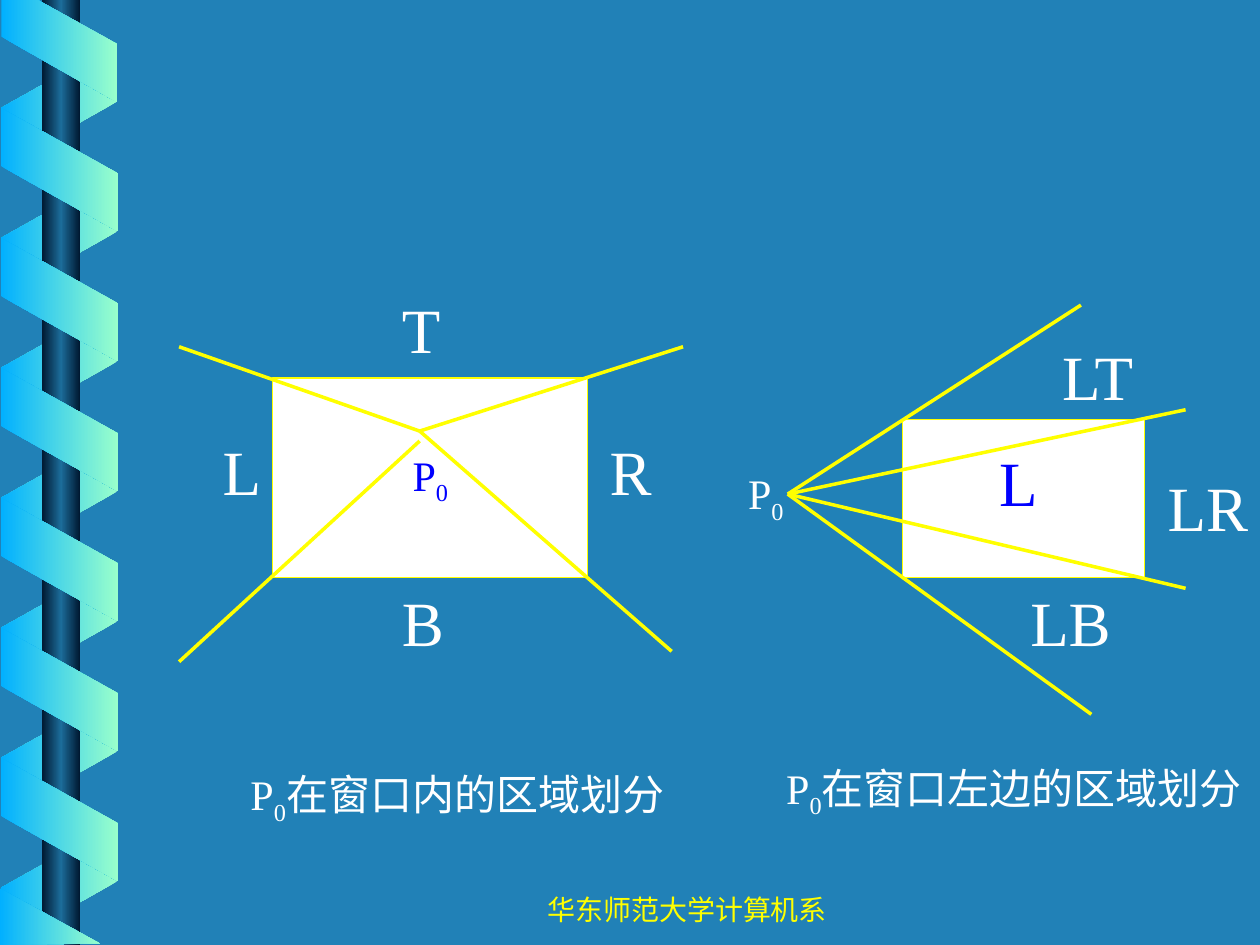
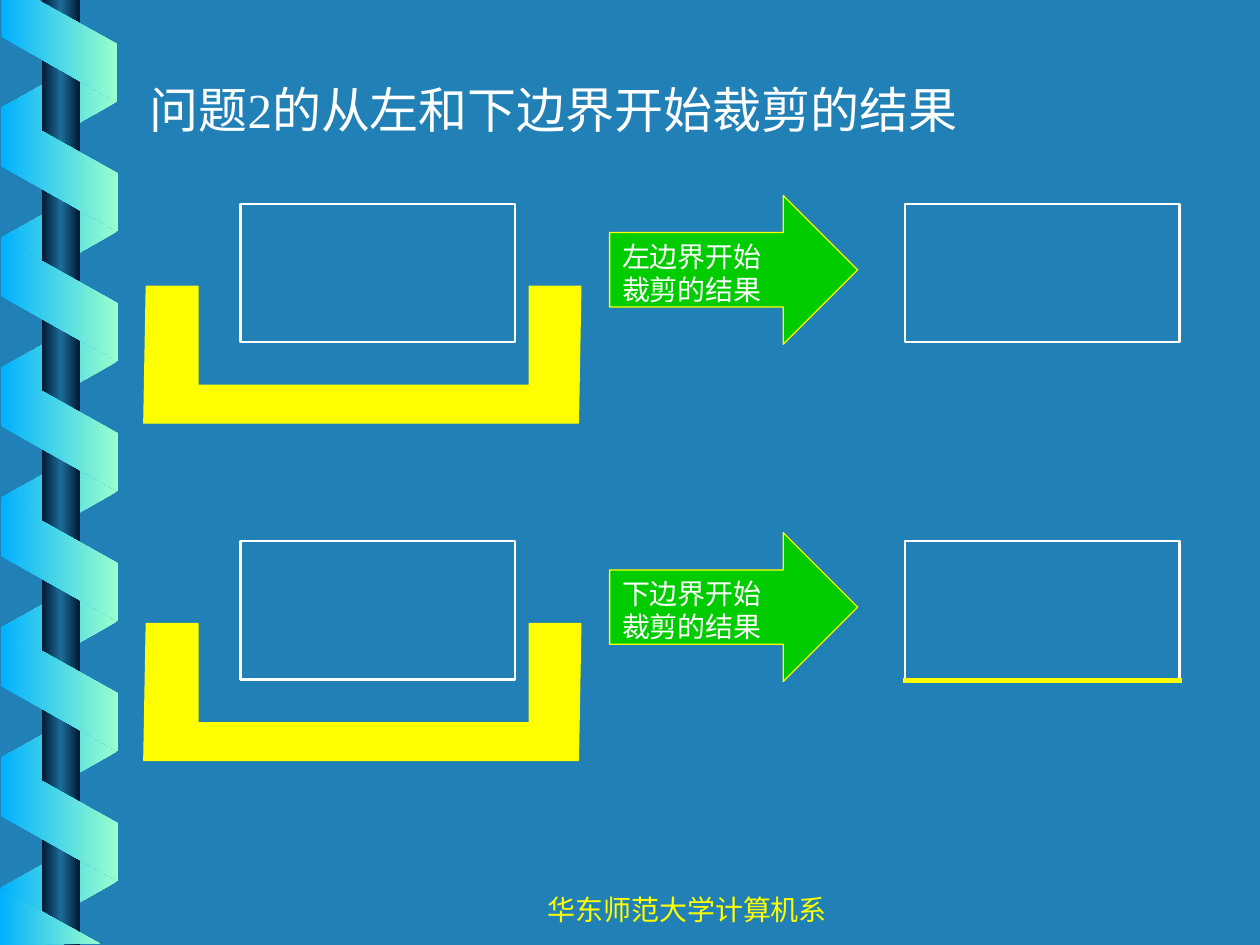
from dataclasses import dataclass

from lxml import etree
from pptx import Presentation
from pptx.dml.color import RGBColor
from pptx.enum import shapes as shp
from pptx.enum import text as txt
from pptx.oxml import ns
from pptx.util import Cm, Pt

# Shared colours and fonts
BACKGROUND = RGBColor(0x21, 0x81, 0xB7)
WHITE = RGBColor(0xFF, 0xFF, 0xFF)
YELLOW = RGBColor(0xFF, 0xFF, 0x00)
BLUE = RGBColor(0x00, 0x00, 0xFF)
GREEN = RGBColor(0x00, 0xCC, 0x00)
SKY = RGBColor(0x01, 0xB0, 0xFF)
MINT = RGBColor(0x99, 0xFF, 0xCC)
NAVY = RGBColor(0x00, 0x19, 0x32)
STEEL = RGBColor(0x1C, 0x6D, 0x9A)
LATIN, CJK = "Times New Roman", "Noto Sans CJK SC"

RIBBON_PITCH = 2.62
P0 = ("P", "_0")  # a leading underscore marks a subscript


@dataclass(frozen=True)
class Box:
    """Left, top, width and height in centimetres."""
    x: float
    y: float
    w: float
    h: float

    def emu(self) -> tuple:
        return Cm(self.x), Cm(self.y), Cm(self.w), Cm(self.h)


@dataclass(frozen=True)
class Label:
    box: Box
    pieces: tuple
    size: int = 36
    color: RGBColor = WHITE


@dataclass(frozen=True)
class Ray:
    start: tuple
    end: tuple
    width: float = 2


# Text
def write(tf, lines, size, color=WHITE, font=LATIN, align=txt.PP_ALIGN.LEFT,
          anchor=txt.MSO_ANCHOR.TOP, wrap=False,
          auto_size=txt.MSO_AUTO_SIZE.NONE) -> None:
    frame_format = {"word_wrap": wrap, "auto_size": auto_size,
                    "vertical_anchor": anchor,
                    "margin_left": Cm(0.25), "margin_right": Cm(0.25),
                    "margin_top": Cm(0.13), "margin_bottom": Cm(0.13)}
    for name, value in frame_format.items():
        setattr(tf, name, value)
    for i, pieces in enumerate(lines):
        p = tf.add_paragraph() if i else tf.paragraphs[0]
        p.alignment = align
        for piece in pieces:
            r = p.add_run()
            r.text = piece.removeprefix("_")
            for name, value in {"size": Pt(size), "name": font}.items():
                setattr(r.font, name, value)
            r.font.color.rgb = color
            rPr = r._r.get_or_add_rPr()
            etree.SubElement(rPr, ns.qn("a:ea")).set("typeface", CJK)
            if piece.startswith("_"):
                rPr.set("baseline", "-25000")


def add_label(s, label: Label) -> None:
    tb = s.shapes.add_textbox(*label.box.emu())
    write(tb.text_frame, [label.pieces], label.size, label.color,
          auto_size=txt.MSO_AUTO_SIZE.SHAPE_TO_FIT_TEXT)


# Shapes and lines
def paint(sp, fill=None, line=None, width=0.75) -> None:
    sp.shadow.inherit = False
    for target, color in ((sp.fill, fill), (sp.line.fill, line)):
        if color is None:
            target.background()
        else:
            target.solid()
            target.fore_color.rgb = color
    if line is not None:
        sp.line.width = Pt(width)


def paint_gradient(sp, *colors: RGBColor) -> None:
    """Evenly spaced horizontal gradient that stays fixed to the page."""
    paint(sp)
    sp.fill.gradient()
    grad = sp._element.spPr.find(ns.qn("a:gradFill"))
    grad.set("rotWithShape", "0")
    grad.find(ns.qn("a:lin")).set("ang", "0")
    stops = grad.find(ns.qn("a:gsLst"))
    for stop in list(stops):
        stops.remove(stop)
    for i, color in enumerate(colors):
        stop = etree.SubElement(stops, ns.qn("a:gs"))
        stop.set("pos", str(100000 * i // (len(colors) - 1)))
        etree.SubElement(stop, ns.qn("a:srgbClr")).set("val", str(color))


def add_preset(s, kind, box: Box):
    return s.shapes.add_shape(kind, *box.emu())


def add_rect(s, box: Box, fill=None, line=None, width=0.75):
    sp = add_preset(s, shp.MSO_SHAPE.RECTANGLE, box)
    paint(sp, fill, line, width)
    return sp


def add_outline(s, points):
    (x, y), *rest = [(Cm(px), Cm(py)) for px, py in points]
    fb = s.shapes.build_freeform(x, y)
    fb.add_line_segments(rest, close=True)
    return fb.convert_to_shape()


def add_ray(s, ray: Ray) -> None:
    ends = [Cm(v) for v in (*ray.start, *ray.end)]
    cn = s.shapes.add_connector(shp.MSO_CONNECTOR.STRAIGHT, *ends)
    cn.line.color.rgb = YELLOW
    cn.line.width = Pt(ray.width)
    etree.SubElement(cn._element.spPr, ns.qn("a:effectLst"))


# Shared ribbon, pole and footer
def add_ribbons(s, count, top, height, adjust, rotation, colors, flip=False) -> None:
    for i in range(count):
        box = Box(-0.05, top + i * RIBBON_PITCH, 2.49, height)
        sp = add_preset(s, shp.MSO_SHAPE.PARALLELOGRAM, box)
        sp.adjustments[0] = adjust
        sp.rotation = rotation
        if flip:
            sp._element.spPr.find(ns.qn("a:xfrm")).set("flipH", "1")
        paint_gradient(sp, *colors)


def add_frame(s) -> None:
    add_ribbons(s, 7, 0.94, 2.34, 0.56, 90, (MINT, SKY), flip=True)
    paint_gradient(add_rect(s, Box(0.85, 0, 0.76, 19.05)), NAVY, STEEL, NAVY)
    add_ribbons(s, 6, 2.24, 2.36, 0.56, 270, (SKY, MINT))
    ribbon_top = [(0.03, 0), (0.03, 0.74), (2.36, 2.06), (2.36, 0.89), (0.76, 0)]
    ribbon_end = [(2.01, 19.02), (0, 17.91), (0, 19.05)]
    for points in (ribbon_top, ribbon_end):
        paint_gradient(add_outline(s, points), SKY, MINT)
    footer = s.shapes.add_textbox(*Box(8.46, 17.86, 10.8, 0.79).emu())
    write(footer.text_frame, [["华东师范大学计算机系"]], 16, YELLOW, CJK,
          txt.PP_ALIGN.CENTER, wrap=True)


# Slide 1: regions around the clipping window
def build_regions(prs) -> None:
    s = prs.slides.add_slide(prs.slide_layouts[6])
    add_frame(s)

    inside = add_rect(s, Box(5.5, 7.62, 6.35, 4.02), WHITE, YELLOW)
    write(inside.text_frame, [P0], 24, BLUE, align=txt.PP_ALIGN.CENTER,
          anchor=txt.MSO_ANCHOR.MIDDLE)
    add_rect(s, Box(18.19, 8.46, 4.88, 3.18), WHITE, YELLOW)

    center, eye = (8.46, 8.69), (15.88, 9.96)
    rays = [Ray((3.61, 13.34), (8.46, 8.89))]
    rays += [Ray(center, end) for end in ((13.54, 13.13), (3.61, 6.99), (13.77, 6.99))]
    rays += [Ray(eye, end) for end in
             ((21.79, 6.15), (23.9, 8.26), (23.9, 11.86), (22, 14.4))]
    for ray in rays:
        add_ray(s, ray)

    labels = [
        Label(Box(7.85, 5.72, 1.27, 1.78), ("T",)),
        Label(Box(4.24, 8.59, 1.27, 1.78), ("L",)),
        Label(Box(7.85, 11.63, 1.35, 1.78), ("B",)),
        Label(Box(12.04, 8.59, 1.35, 1.78), ("R",)),
        Label(Box(21.16, 6.68, 2.06, 1.78), ("LT",)),
        Label(Box(19.89, 8.81, 1.27, 1.78), ("L",), color=BLUE),
        Label(Box(20.52, 11.63, 2.13, 1.78), ("LB",)),
        Label(Box(23.29, 9.32, 2.13, 1.78), ("LR",)),
        Label(Box(14.83, 9.3, 1.22, 1.42), P0, 24),
        Label(Box(4.8, 15.37, 9.04, 1.42), (*P0, "在窗口内的区域划分"), 24),
        Label(Box(15.6, 15.24, 9.88, 1.42), (*P0, "在窗口左边的区域划分"), 24),
    ]
    for label in labels:
        add_label(s, label)


# Slide 2: results of clipping from two borders
def add_clip_row(s, top: float, border: str) -> None:
    arrow = add_preset(s, shp.MSO_SHAPE.RIGHT_ARROW, Box(12.29, top - 0.17, 5, 3))
    paint(arrow, GREEN, YELLOW)
    write(arrow.text_frame, [[border + "开始"], ["裁剪的结果"]], 16)
    for x in (4.85, 18.24):
        add_rect(s, Box(x, top, 5.54, 2.79), line=WHITE, width=1.25)
    rim, floor, base = top + 1.66, top + 3.66, top + 4.42
    trough = [(2.95, rim), (3.99, rim), (3.99, floor), (10.67, floor),
              (10.67, rim), (11.71, rim), (11.66, base), (2.9, base)]
    paint(add_outline(s, trough), YELLOW, YELLOW)


def build_results(prs) -> None:
    s = prs.slides.add_slide(prs.slide_layouts[5])
    add_frame(s)
    title = s.shapes.title
    title.left, title.top, title.width, title.height = Box(2.77, 1.47, 17.25, 1.45).emu()
    write(title.text_frame, [["问题2的从左和下边界开始裁剪的结果"]], 28)
    for i, border in enumerate(("左边界", "下边界")):
        add_clip_row(s, 4.11 + i * 6.8, border)
    add_ray(s, Ray((18.21, 13.72), (23.83, 13.72), 3))


def main() -> None:
    prs = Presentation()
    prs.slide_width, prs.slide_height = Cm(25.4), Cm(19.05)
    fill = prs.slide_master.background.fill
    fill.solid()
    fill.fore_color.rgb = BACKGROUND
    build_regions(prs)
    build_results(prs)
    prs.save("out.pptx")


if __name__ == "__main__":
    main()
